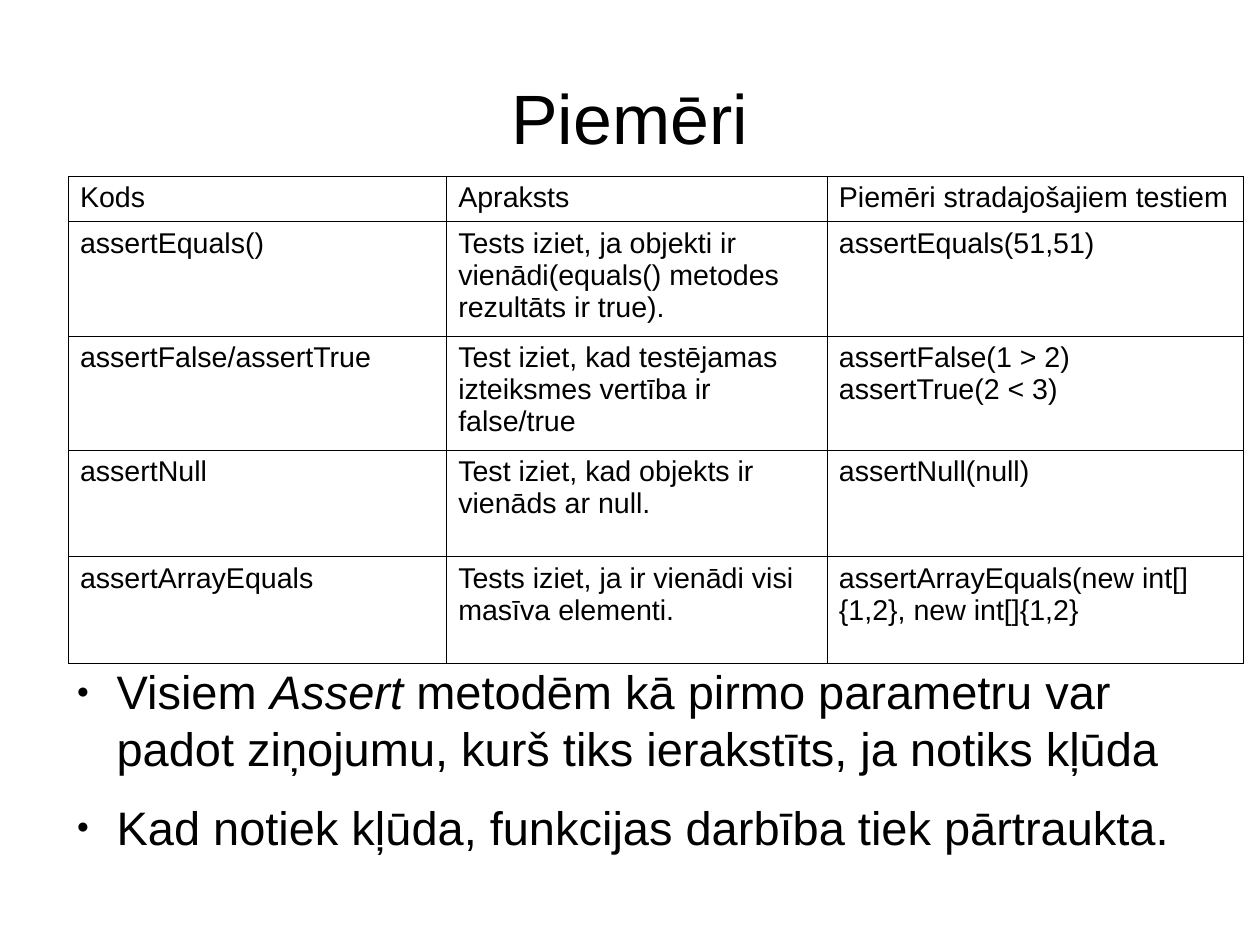
from dataclasses import dataclass

from lxml.etree import SubElement
from pptx import Presentation
from pptx.dml.color import RGBColor
from pptx.enum.text import MSO_ANCHOR, MSO_AUTO_SIZE, PP_ALIGN
from pptx.oxml.ns import qn
from pptx.util import Inches, Pt


@dataclass(frozen=True)
class Theme:
    font: str = "Arial"
    ink: str = "000000"
    paper: str = "FFFFFF"
    title: float = 44
    body: float = 29.6
    cell: float = 18
    rule: float = 0.57


THEME = Theme()
INCH = 2.54  # centimetres
PAGE = (28 / INCH, 21 / INCH)
COLS = [3.31, 3.33, 3.64]
ROWS = [0.4, 1, 1, 0.93, 0.93]
CELLS = [
    ["Kods", "Apraksts", "Piemēri stradajošajiem testiem"],
    ["assertEquals()",
     "Tests iziet, ja objekti ir vienādi(equals() metodes rezultāts ir true).",
     "assertEquals(51,51)"],
    ["assertFalse/assertTrue",
     "Test iziet, kad testējamas izteiksmes vertība ir false/true",
     "assertFalse(1 > 2)\nassertTrue(2 < 3)"],
    ["assertNull", "Test iziet, kad objekts ir vienāds ar null.",
     "assertNull(null)"],
    ["assertArrayEquals", "Tests iziet, ja ir vienādi visi masīva elementi.",
     "assertArrayEquals(new int[]{1,2}, new int[]{1,2}"],
]
POINTS = [
    [("Visiem ", False), ("Assert", True),
     (" metodēm kā pirmo parametru var padot ziņojumu, "
      "kurš tiks ierakstīts, ja notiks kļūda", False)],
    [("Kad notiek kļūda, funkcijas darbība tiek pārtraukta.", False)],
]


def write(para, text, size, italic=False):
    """Add one formatted run to a paragraph."""
    run = para.add_run()
    run.text = text
    font = run.font
    font.name, font.size, font.italic = THEME.font, Pt(size), italic
    font.bold = False
    font.color.rgb = RGBColor.from_string(THEME.ink)


def place(shape, box, anchor):
    """Move a placeholder to its box and clear its insets."""
    shape.left, shape.top, shape.width, shape.height = map(Inches, box)
    frame = shape.text_frame
    frame.margin_left = frame.margin_right = 0
    frame.margin_top = frame.margin_bottom = 0
    frame.word_wrap = True
    frame.auto_size = MSO_AUTO_SIZE.NONE
    frame.vertical_anchor = anchor
    return frame


def add_title(slide, box):
    frame = place(slide.shapes.title, box, MSO_ANCHOR.MIDDLE)
    para = frame.paragraphs[0]
    para.alignment = PP_ALIGN.CENTER
    write(para, "Piemēri", THEME.title)


def frame_cell(cell):
    """Draw a thin line on each side of a cell."""
    props = cell._tc.get_or_add_tcPr()
    for side in ("lnL", "lnR", "lnT", "lnB"):
        line = SubElement(props, qn(f"a:{side}"), w=str(Pt(THEME.rule)))
        fill = SubElement(line, qn("a:solidFill"))
        SubElement(fill, qn("a:srgbClr"), val=THEME.ink)


def add_grid(slide, box):
    table = slide.shapes.add_table(
        len(ROWS), len(COLS), *map(Inches, box)).table
    table.first_row = table.horz_banding = False
    for col, width in zip(table.columns, COLS):
        col.width = Inches(width)
    for row, height, texts in zip(table.rows, ROWS, CELLS):
        row.height = Inches(height)
        for cell, text in zip(row.cells, texts):
            frame_cell(cell)
            cell.fill.solid()
            cell.fill.fore_color.rgb = RGBColor.from_string(THEME.paper)
            cell.margin_left = cell.margin_right = Inches(0.1)
            cell.margin_top = cell.margin_bottom = Inches(0.05)
            frame = cell.text_frame
            for i, line in enumerate(text.split("\n")):
                para = frame.add_paragraph() if i else frame.paragraphs[0]
                write(para, line, THEME.cell)


def add_bullet(para):
    """Give a paragraph a small round bullet and a hanging indent."""
    props = para._p.get_or_add_pPr()
    props.set("marL", str(Inches(0.47)))
    props.set("indent", str(Inches(-0.35)))
    color = SubElement(props, qn("a:buClr"))
    SubElement(color, qn("a:srgbClr"), val=THEME.ink)
    SubElement(props, qn("a:buSzPct"), val="45000")
    SubElement(props, qn("a:buFont"), typeface=THEME.font)
    SubElement(props, qn("a:buChar"), char="●")


def add_list(slide, box):
    frame = place(slide.placeholders[1], box, MSO_ANCHOR.TOP)
    for i, parts in enumerate(POINTS):
        para = frame.add_paragraph() if i else frame.paragraphs[0]
        add_bullet(para)
        para.space_before, para.space_after = Pt(0), Pt(14.2)
        para.line_spacing = 1.0
        for text, italic in parts:
            write(para, text, THEME.body, italic=italic)


def main():
    deck = Presentation()
    deck.slide_width, deck.slide_height = map(Inches, PAGE)
    slide = deck.slides.add_slide(deck.slide_layouts[1])
    # Heading
    add_title(slide, (0.55, 0.33, 9.92, 1.38))
    # Table of assert methods
    add_grid(slide, (0.6, 1.54, sum(COLS), sum(ROWS)))
    # Closing points
    add_list(slide, (0.55, 5.8, 10.05, 1.4))
    deck.save("out.pptx")


if __name__ == "__main__":
    main()
